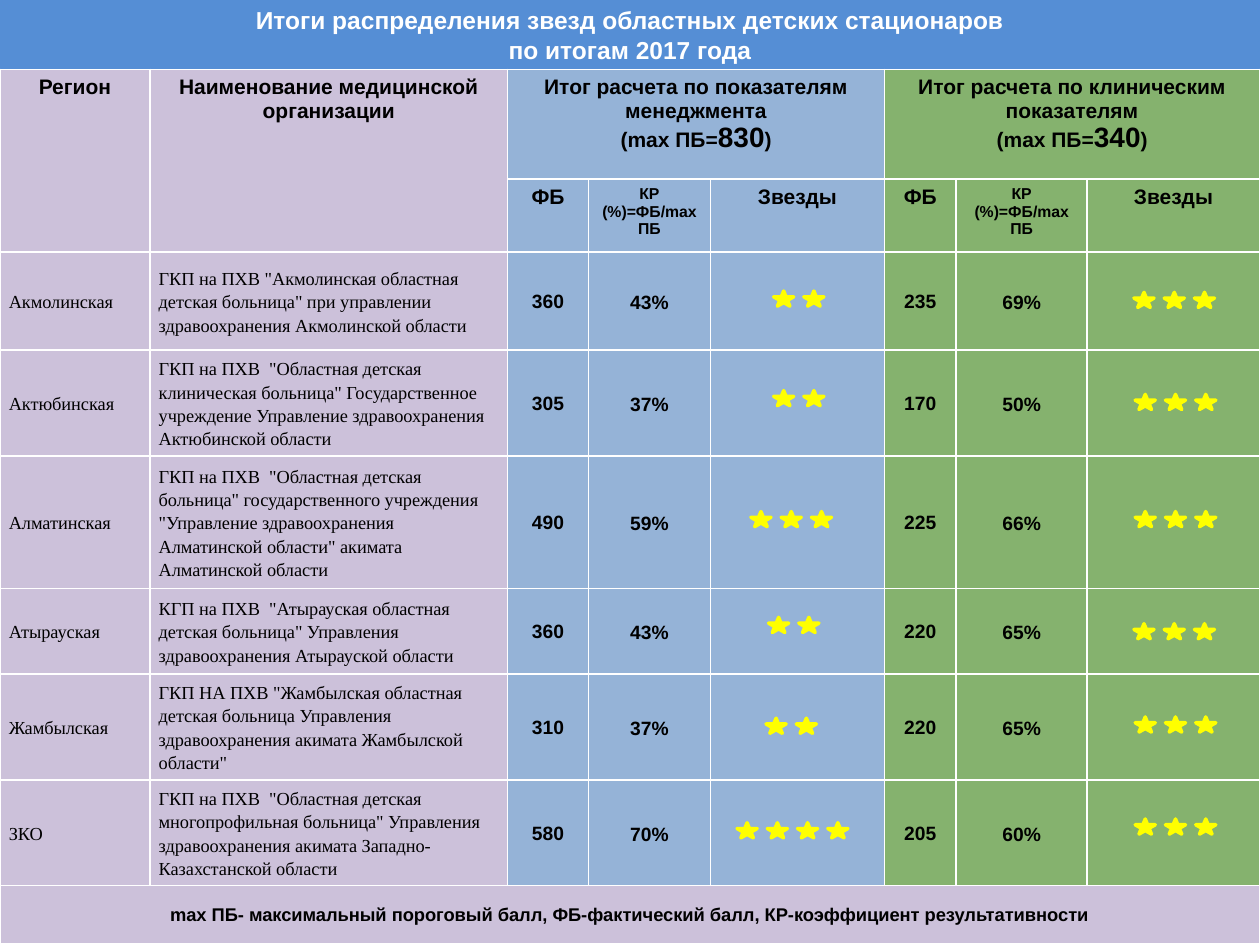
from dataclasses import dataclass

from lxml import etree
from pptx import Presentation
from pptx.dml.color import RGBColor
from pptx.enum.shapes import MSO_SHAPE
from pptx.enum.text import MSO_ANCHOR, PP_ALIGN
from pptx.oxml.ns import qn
from pptx.util import Inches, Pt

CENTER, LEFT = PP_ALIGN.CENTER, PP_ALIGN.LEFT
TOP, MIDDLE = MSO_ANCHOR.TOP, MSO_ANCHOR.MIDDLE
RECTANGLE, STAR = MSO_SHAPE.RECTANGLE, MSO_SHAPE.STAR_5_POINT

LILAC, BLUE, GREEN = "CCC1DA", "95B3D7", "85B26E"
TITLE_BLUE, YELLOW, WHITE, BLACK = "558ED5", "FFFF00", "FFFFFF", "000000"

COLUMN_WIDTHS = [1.19, 2.84, 0.64, 0.97, 1.38, 0.57, 1.04, 1.37]
COLUMN_FILLS = [LILAC] * 2 + [BLUE] * 3 + [GREEN] * 3
ROW_HEIGHTS = [0.87, 0.58, 0.78, 0.84, 1.05, 0.68, 0.84, 0.84, 0.46]
FIRST_HOSPITAL_ROW = 2
STAR_WIDTH, STAR_HEIGHT, STAR_STEP = 0.16, 0.12, 0.24


@dataclass(frozen=True)
class CellStyle:
    size: float
    font: str = "Arial"
    bold: bool = True
    align: PP_ALIGN = CENTER
    anchor: MSO_ANCHOR = MIDDLE
    margins: tuple[float, float, float, float] = (0.07, 0, 0.07, 0)
    line_spacing: float = 1.0


HEADER_MARGINS = (0.1, 0.05, 0.1, 0.05)
TIGHT_MARGINS = (0.01, 0.01, 0.01, 0)
HEADER = CellStyle(12, anchor=TOP, margins=HEADER_MARGINS)
SMALL_HEADER = CellStyle(9, anchor=TOP, margins=HEADER_MARGINS)
NAME = CellStyle(10.5, "Times New Roman", False, LEFT, line_spacing=1.15)
SCORE = CellStyle(11, margins=TIGHT_MARGINS)
PERCENT = CellStyle(11, line_spacing=1.15)
FOOTNOTE = CellStyle(10.5, margins=TIGHT_MARGINS)


@dataclass(frozen=True)
class Rating:
    score: str
    percent: str
    stars: int
    left: float
    top: float


@dataclass(frozen=True)
class Hospital:
    region: str
    name: str
    management: Rating
    clinical: Rating


HOSPITALS = [
    Hospital("Акмолинская",
             'ГКП на ПХВ "Акмолинская областная детская больница" при управлении '
             "здравоохранения Акмолинской области",
             Rating("360", "43%", 2, 6.14, 2.31), Rating("235", "69%", 3, 9, 2.32)),
    Hospital("Актюбинская",
             'ГКП на ПХВ  "Областная детская клиническая больница" Государственное '
             "учреждение Управление здравоохранения Актюбинской области",
             Rating("305", "37%", 2, 6.14, 3.1), Rating("170", "50%", 3, 9.01, 3.13)),
    Hospital("Алматинская",
             'ГКП на ПХВ  "Областная детская больница" государственного учреждения '
             '"Управление здравоохранения Алматинской области" акимата '
             "Алматинской области",
             Rating("490", "59%", 3, 5.96, 4.06), Rating("225", "66%", 3, 9.01, 4.06)),
    Hospital("Атырауская",
             'КГП на ПХВ  "Атырауская областная детская больница" Управления '
             "здравоохранения Атырауской области",
             Rating("360", "43%", 2, 6.1, 4.9), Rating("220", "65%", 3, 9, 4.95)),
    Hospital("Жамбылская",
             'ГКП НА ПХВ "Жамбылская областная детская больница Управления '
             'здравоохранения акимата Жамбылской области"',
             Rating("310", "37%", 2, 6.08, 5.7), Rating("220", "65%", 3, 9.01, 5.69)),
    Hospital("ЗКО",
             'ГКП на ПХВ  "Областная детская многопрофильная больница" Управления '
             "здравоохранения акимата Западно-Казахстанской области",
             Rating("580", "70%", 4, 5.85, 6.53), Rating("205", "60%", 3, 9.01, 6.5)),
]


def rgb(color: str) -> RGBColor:
    return RGBColor.from_string(color)


def format_run(run, size: float, font: str, bold: bool, color: str) -> None:
    run.font.size, run.font.name, run.font.bold = Pt(size), font, bold
    run.font.color.rgb = rgb(color)


def write_cell(cell, text: str, style: CellStyle) -> None:
    cell.vertical_anchor = style.anchor
    (cell.margin_left, cell.margin_top,
     cell.margin_right, cell.margin_bottom) = map(Inches, style.margins)
    cell.text_frame.text = text
    for paragraph in cell.text_frame.paragraphs:
        paragraph.alignment = style.align
        paragraph.line_spacing = style.line_spacing
        for run in paragraph.runs:
            format_run(run, style.size, style.font, style.bold, BLACK)


def write_group_header(cell, heading: str, maximum: str) -> None:
    """Write a heading with the maximum score enlarged on its second line."""
    write_cell(cell, f"{heading}\n(mах ПБ=", HEADER)
    formula = cell.text_frame.paragraphs[1]
    for text, size in ((maximum, 16), (")", HEADER.size)):
        run = formula.add_run()
        run.text = text
        format_run(run, size, HEADER.font, HEADER.bold, BLACK)


def paint_cell(cell, color: str) -> None:
    """Give the cell white one-point borders and a plain fill."""
    properties = cell._tc.get_or_add_tcPr()
    for side in ("lnL", "lnR", "lnT", "lnB"):
        border = etree.SubElement(properties, qn(f"a:{side}"), w=str(Pt(1)))
        fill = etree.SubElement(border, qn("a:solidFill"))
        etree.SubElement(fill, qn("a:srgbClr"), val=WHITE)
    cell.fill.solid()
    cell.fill.fore_color.rgb = rgb(color)


def add_title(slide) -> None:
    title = slide.shapes.add_shape(RECTANGLE, 0, 0, Inches(10), Inches(0.55))
    title.shadow.inherit = False
    title.fill.solid()
    title.fill.fore_color.rgb = rgb(TITLE_BLUE)
    title.line.fill.background()
    frame = title.text_frame
    frame.word_wrap = True
    frame.vertical_anchor = MIDDLE
    frame.text = ("Итоги распределения звезд областных детских стационаров"
                  "\vпо итогам 2017 года")
    frame.paragraphs[0].alignment = CENTER
    for run in frame.paragraphs[0].runs:
        format_run(run, 14, "Arial", True, WHITE)


def add_results_table(slide) -> None:
    table = slide.shapes.add_table(
        len(ROW_HEIGHTS), len(COLUMN_WIDTHS), 0, Inches(0.55),
        Inches(sum(COLUMN_WIDTHS)), Inches(sum(ROW_HEIGHTS))).table
    table.first_row = table.horz_banding = False
    for column, width in zip(table.columns, COLUMN_WIDTHS):
        column.width = Inches(width)
    for row, height in zip(table.rows, ROW_HEIGHTS):
        row.height = Inches(height)
        for cell, color in zip(row.cells, COLUMN_FILLS):
            paint_cell(cell, color)

    for column, heading in enumerate(("Регион", "Наименование медицинской организации")):
        table.cell(0, column).merge(table.cell(1, column))
        write_cell(table.cell(0, column), heading, HEADER)
    for column, heading, maximum in (
            (2, "Итог расчета по показателям менеджмента", "830"),
            (5, "Итог расчета по клиническим показателям", "340")):
        table.cell(0, column).merge(table.cell(0, column + 2))
        write_group_header(table.cell(0, column), heading, maximum)
        write_cell(table.cell(1, column), "ФБ", HEADER)
        write_cell(table.cell(1, column + 1), "КР (%)=ФБ/max ПБ", SMALL_HEADER)
        write_cell(table.cell(1, column + 2), "Звезды", HEADER)

    for row, hospital in enumerate(HOSPITALS, FIRST_HOSPITAL_ROW):
        write_cell(table.cell(row, 0), hospital.region, NAME)
        write_cell(table.cell(row, 1), hospital.name, NAME)
        for column, rating in ((2, hospital.management), (5, hospital.clinical)):
            write_cell(table.cell(row, column), rating.score, SCORE)
            write_cell(table.cell(row, column + 1), rating.percent, PERCENT)

    last = len(ROW_HEIGHTS) - 1
    table.cell(last, 0).merge(table.cell(last, len(COLUMN_WIDTHS) - 1))
    write_cell(table.cell(last, 0),
               "mах ПБ- максимальный пороговый балл, ФБ-фактический балл, "
               "КР-коэффициент результативности", FOOTNOTE)


def add_stars(slide, rating: Rating) -> None:
    group = slide.shapes.add_group_shape()
    for position in range(rating.stars):
        star = group.shapes.add_shape(
            STAR, Inches(rating.left + position * STAR_STEP), Inches(rating.top),
            Inches(STAR_WIDTH), Inches(STAR_HEIGHT))
        star.shadow.inherit = False
        star.fill.solid()
        star.fill.fore_color.rgb = star.line.color.rgb = rgb(YELLOW)
        star.line.width = Pt(2)


def main() -> None:
    presentation = Presentation()
    presentation.slide_width, presentation.slide_height = Inches(10), Inches(7.5)
    slide = presentation.slides.add_slide(presentation.slide_layouts[6])
    add_title(slide)
    add_results_table(slide)
    for hospital in HOSPITALS:
        add_stars(slide, hospital.management)
        add_stars(slide, hospital.clinical)
    presentation.save("out.pptx")


if __name__ == "__main__":
    main()
